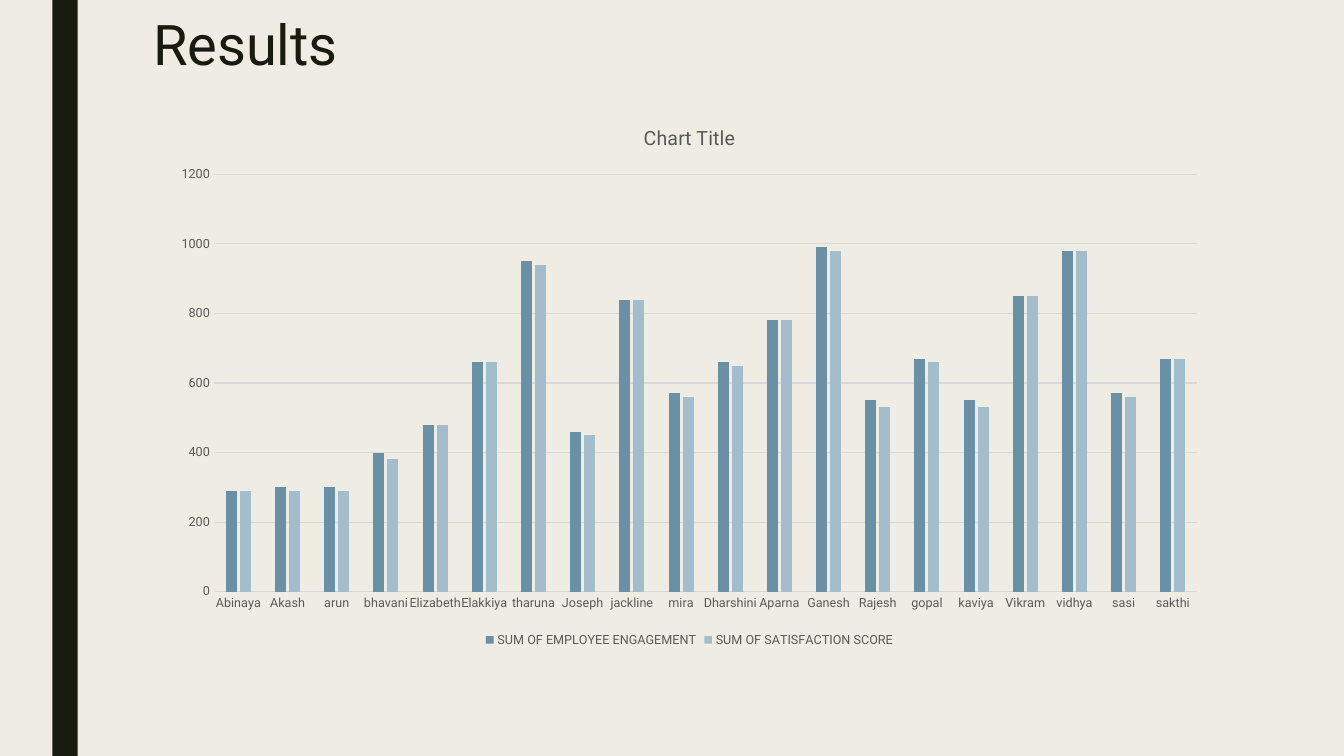
from dataclasses import dataclass

from pptx import Presentation
from pptx.chart.data import CategoryChartData
from pptx.dml.color import RGBColor
from pptx.enum.chart import XL_CHART_TYPE, XL_LEGEND_POSITION, XL_TICK_MARK
from pptx.enum.shapes import MSO_SHAPE
from pptx.util import Cm, Pt

COLUMNS = XL_CHART_TYPE.COLUMN_CLUSTERED
BOTTOM = XL_LEGEND_POSITION.BOTTOM
NO_TICK = XL_TICK_MARK.NONE
RECT = MSO_SHAPE.RECTANGLE


@dataclass(frozen=True)
class Theme:
    font: str = "Roboto"
    back: RGBColor = RGBColor.from_string("EFEDE3")
    dark: RGBColor = RGBColor.from_string("191B0E")
    grey: RGBColor = RGBColor.from_string("595959")
    grid: RGBColor = RGBColor.from_string("D9D9D9")
    bars: tuple = (RGBColor.from_string("6A90A6"), RGBColor.from_string("A4BDCD"))
    head: int = 40
    title: int = 14
    label: int = 9


theme = Theme()


def style(font, size, color):
    font.name = theme.font
    font.size = Pt(size)
    font.bold = False
    font.color.rgb = color


def write(frame, text, size=theme.label, color=theme.grey, space=None):
    para = frame.paragraphs[0]
    para.line_spacing = space
    run = para.add_run()
    run.text = text
    style(run.font, size, color)


# Slide and background
deck = Presentation()
deck.slide_width, deck.slide_height = Cm(33.87), Cm(19.05)
slide = deck.slides.add_slide(deck.slide_layouts[6])
slide.background.fill.solid()
slide.background.fill.fore_color.rgb = theme.back

# Side stripe
stripe = slide.shapes.add_shape(RECT, Cm(1.32), 0, Cm(0.64), deck.slide_height)
stripe.shadow.inherit = False
stripe.fill.solid()
stripe.fill.fore_color.rgb = theme.dark
stripe.line.fill.background()

# Heading
box = slide.shapes.add_textbox(Cm(3.61), Cm(0.33), Cm(23.22), Cm(5.84))
box.text_frame.word_wrap = True
write(box.text_frame, "Results", size=theme.head, color=theme.dark, space=0.89)

# Scores per employee: engagement, satisfaction
scores = {
    "Abinaya": (290, 290), "Akash": (300, 290), "arun": (300, 290),
    "bhavani": (400, 380), "Elizabeth": (480, 480), "Elakkiya": (660, 660),
    "tharuna": (950, 940), "Joseph": (460, 450), "jackline": (840, 840),
    "mira": (570, 560), "Dharshini": (660, 650), "Aparna": (780, 780),
    "Ganesh": (990, 980), "Rajesh": (550, 530), "gopal": (670, 660),
    "kaviya": (550, 530), "Vikram": (850, 850), "vidhya": (980, 980),
    "sasi": (570, 560), "sakthi": (670, 670),
}
names = ("SUM OF EMPLOYEE ENGAGEMENT", "SUM OF SATISFACTION SCORE")
data = CategoryChartData()
data.categories = list(scores)
for name, vals in zip(names, zip(*scores.values())):
    data.add_series(name, vals)

# Chart
chart = slide.shapes.add_chart(
    COLUMNS, Cm(4.04), Cm(2.62), Cm(26.67), Cm(13.79), data).chart
style(chart.font, theme.label, theme.grey)
chart.has_title = True
write(chart.chart_title.text_frame, "Chart Title", size=theme.title)
chart.chart_title.include_in_layout = False
chart.has_legend = True
chart.legend.position = BOTTOM
chart.legend.include_in_layout = False
style(chart.legend.font, theme.label, theme.grey)

# Bars
plot = chart.plots[0]
plot.gap_width, plot.overlap = 219, -27
plot.vary_by_categories = False
for series, color in zip(plot.series, theme.bars):
    series.format.fill.solid()
    series.format.fill.fore_color.rgb = color

# Axes
people, scale = chart.category_axis, chart.value_axis
for axis in (people, scale):
    axis.major_tick_mark = axis.minor_tick_mark = NO_TICK
    style(axis.tick_labels.font, theme.label, theme.grey)
scale.minimum_scale, scale.maximum_scale, scale.major_unit = 0, 1200, 200
scale.format.line.fill.background()
for line in (people.format.line, scale.major_gridlines.format.line):
    line.color.rgb = theme.grid
    line.width = Pt(0.75)

deck.save("out.pptx")
